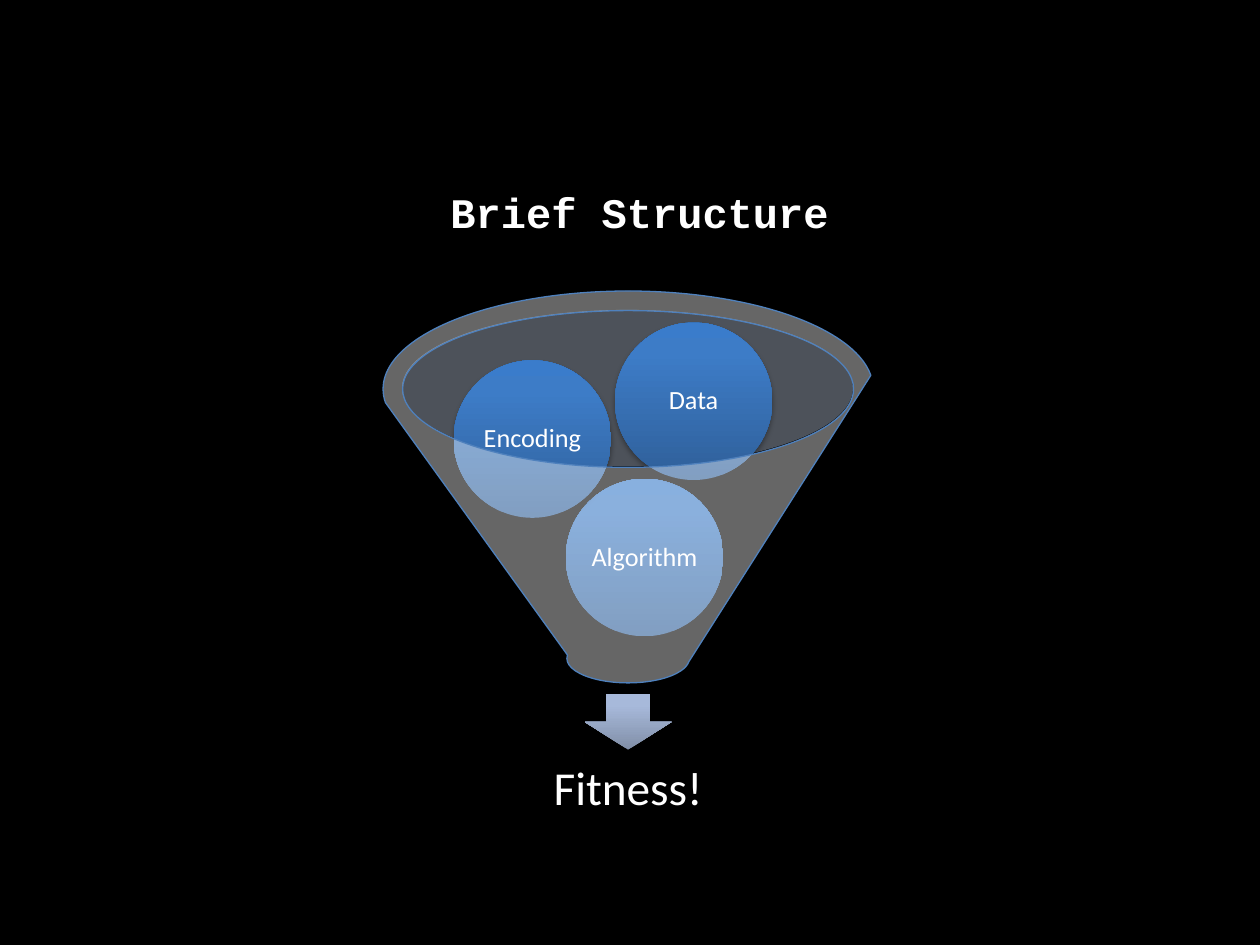
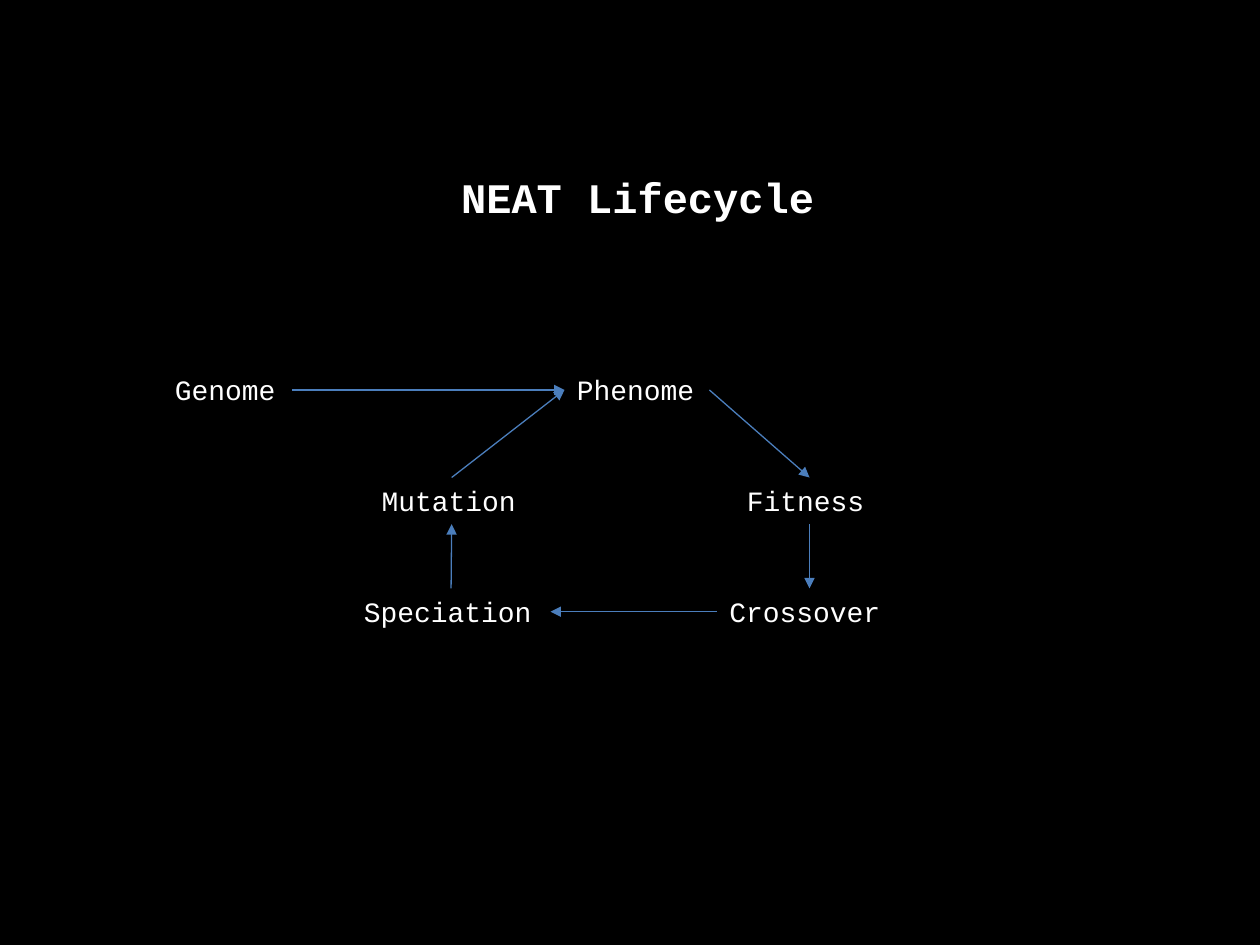
from lxml import etree
from pptx import Presentation
from pptx.dml.color import RGBColor
from pptx.enum.shapes import MSO_CONNECTOR, MSO_SHAPE
from pptx.enum.text import MSO_ANCHOR, MSO_AUTO_SIZE, PP_ALIGN
from pptx.oxml.ns import qn
from pptx.util import Inches, Pt

STRAIGHT = MSO_CONNECTOR.STRAIGHT
ELLIPSE, DOWN_ARROW, FUNNEL = MSO_SHAPE.OVAL, MSO_SHAPE.DOWN_ARROW, MSO_SHAPE.FUNNEL
TOP, MIDDLE = MSO_ANCHOR.TOP, MSO_ANCHOR.MIDDLE
LEFT, CENTER = PP_ALIGN.LEFT, PP_ALIGN.CENTER
NO_RESIZE = MSO_AUTO_SIZE.NONE
TOP_SITE, LEFT_SITE, BOTTOM_SITE, RIGHT_SITE = range(4)

BLACK = RGBColor(0x00, 0x00, 0x00)
WHITE = RGBColor(0xFF, 0xFF, 0xFF)
RIM = RGBColor(0xC2, 0xCD, 0xE1)
OUTLINE = RGBColor(0x4F, 0x81, 0xBD)
FLOW = RGBColor(0x4B, 0x7E, 0xBC)
BALL_GRADIENT = (
    (0, RGBColor(0x2F, 0x5F, 0x99)),
    (80, RGBColor(0x3D, 0x7C, 0xC7)),
    (100, RGBColor(0x3A, 0x7C, 0xCB)),
)
ARROW_GRADIENT = (
    (0, RGBColor(0x81, 0x8F, 0xA8)),
    (80, RGBColor(0xA7, 0xB9, 0xDA)),
    (100, RGBColor(0xA7, 0xBA, 0xDC)),
)
MONO, SANS = "Courier New", "Calibri"

BALL_SIZE = 1.25
INGREDIENTS = (("Algorithm", 1.45, 1.49), ("Encoding", 0.56, 0.55), ("Data", 1.84, 0.25))

ROW_PITCH, STEP_HEIGHT = 0.88, 0.37
STEPS = (
    ("Genome", 0, 0, 1.03),
    ("Phenome", 3.19, 0, 1.15),
    ("Fitness", 4.54, 1, 1.19),
    ("Crossover", 4.4, 2, 1.47),
    ("Speciation", 1.5, 2, 1.58),
    ("Mutation", 1.64, 1, 1.31),
)
TRANSITIONS = (
    ("Genome", RIGHT_SITE, "Phenome", LEFT_SITE),
    ("Phenome", RIGHT_SITE, "Fitness", TOP_SITE),
    ("Fitness", BOTTOM_SITE, "Crossover", TOP_SITE),
    ("Crossover", LEFT_SITE, "Speciation", RIGHT_SITE),
    ("Speciation", TOP_SITE, "Mutation", BOTTOM_SITE),
    ("Mutation", TOP_SITE, "Phenome", LEFT_SITE),
)


def add_xml(parent, tag, **attributes):
    """Append a DrawingML child and return it."""
    values = {name: str(value) for name, value in attributes.items()}
    return etree.SubElement(parent, qn(f"a:{tag}"), values)


def write_text(shape, text, size, font=MONO, bold=False, align=LEFT, anchor=TOP,
               inset=None, wrap=True, spacing=1.0):
    """Write one formatted white paragraph into a shape."""
    frame = shape.text_frame
    frame.auto_size = NO_RESIZE
    frame.word_wrap = wrap
    frame.vertical_anchor = anchor
    if inset is not None:
        frame.margin_left = frame.margin_right = Inches(inset)
        frame.margin_top = frame.margin_bottom = Inches(inset)
    paragraph = frame.paragraphs[0]
    paragraph.alignment = align
    paragraph.line_spacing = spacing
    run = paragraph.add_run()
    run.text = text
    run.font.name = font
    run.font.size = Pt(size)
    run.font.bold = bold
    run.font.color.rgb = WHITE


def place(box):
    """Convert a box in inches to lengths."""
    return [Inches(value) for value in box]


def add_textbox(slide, box, text, size, **text_format):
    """Add a text box with one formatted paragraph."""
    textbox = slide.shapes.add_textbox(*place(box))
    write_text(textbox, text, size, **text_format)
    return textbox


def add_glass(slide, preset, box, color):
    """Add a flat shape at 40 % opacity without an outline."""
    glass = slide.shapes.add_shape(preset, *place(box))
    glass.shadow.inherit = False
    glass.fill.solid()
    glass.fill.fore_color.rgb = color
    color_element = glass._element.spPr.find(qn("a:solidFill"))[0]
    add_xml(color_element, "alpha", val=40000)
    glass.line.fill.background()
    return glass


def add_glossy(slide, preset, box, gradient):
    """Add a shape with an upward gradient and a soft shadow."""
    glossy = slide.shapes.add_shape(preset, *place(box))
    glossy.line.fill.background()
    glossy.shadow.inherit = False
    properties = glossy._element.spPr
    gradient_fill = add_xml(properties, "gradFill", rotWithShape=1)
    stops = add_xml(gradient_fill, "gsLst")
    for position, color in gradient:
        add_xml(add_xml(stops, "gs", pos=position * 1000), "srgbClr", val=color)
    add_xml(gradient_fill, "lin", ang=270 * 60000, scaled=0)
    properties.find(qn("a:prstGeom")).addnext(gradient_fill)
    shadow = add_xml(properties.find(qn("a:effectLst")), "outerShdw", blurRad=Pt(3.1),
                     dist=Pt(1.8), dir=90 * 60000, rotWithShape=0)
    add_xml(add_xml(shadow, "srgbClr", val=BLACK), "alpha", val=35000)
    return glossy


def add_transition(slide, source, source_site, target, target_site):
    """Connect two steps with an arrow."""
    arrow = slide.shapes.add_connector(STRAIGHT, 0, 0, 0, 0)
    arrow.begin_connect(source, source_site)
    arrow.end_connect(target, target_site)
    arrow.line.color.rgb = FLOW
    arrow.line.width = Pt(0.75)
    add_xml(arrow.line._get_or_add_ln(), "tailEnd", type="triangle")
    add_xml(arrow._element.spPr, "effectLst")


def add_titled_slide(deck, title, box):
    """Add a black slide with its title in the given box."""
    slide = deck.slides.add_slide(deck.slide_layouts[5])
    slide.background.fill.solid()
    slide.background.fill.fore_color.rgb = BLACK
    heading = slide.shapes.title
    heading.left, heading.top, heading.width, heading.height = place(box)
    write_text(heading, title, 24, bold=True, align=CENTER)
    return slide


def add_funnel(slide, left, top):
    """Draw the funnel, its ingredients and its outcome."""
    add_glass(slide, ELLIPSE, (left + 0.15, top + 0.15, 3.58, 1.24), RIM)
    add_glossy(slide, DOWN_ARROW, (left + 1.6, top + 3.2, 0.69, 0.44), ARROW_GRADIENT)
    add_textbox(slide, (left + 0.28, top + 3.55, 3.33, 0.83), "Fitness!", 27, font=SANS,
                align=CENTER, anchor=MIDDLE, inset=0.21, spacing=0.9)
    for ingredient, across, down in INGREDIENTS:
        ball = add_glossy(slide, ELLIPSE, (left + across, top + down, BALL_SIZE, BALL_SIZE),
                          BALL_GRADIENT)
        write_text(ball, ingredient, 15, font=SANS, align=CENTER, anchor=MIDDLE,
                   inset=0.02, wrap=False, spacing=0.9)
    funnel = add_glass(slide, FUNNEL, (left, top, 3.89, 3.11), WHITE)
    funnel.line.color.rgb = OUTLINE
    funnel.line.width = Pt(0.75)


def add_lifecycle(slide, left, top):
    """Lay out the steps on three rows and connect them."""
    steps = {}
    for name, across, row, width in STEPS:
        box = (left + across, top + row * ROW_PITCH, width, STEP_HEIGHT)
        steps[name] = add_textbox(slide, box, name, 16)
    for source, source_site, target, target_site in TRANSITIONS:
        add_transition(slide, steps[source], source_site, steps[target], target_site)


def main():
    """Build and save both slides."""
    deck = Presentation()
    deck.slide_width, deck.slide_height = Inches(10), Inches(7.5)
    structure = add_titled_slide(deck, "Brief Structure", (3.43, 1.43, 3.29, 0.5))
    add_funnel(structure, 3.04, 2.31)
    lifecycle = add_titled_slide(deck, "NEAT Lifecycle", (2.83, 1.31, 4.46, 0.5))
    add_lifecycle(lifecycle, 1.29, 2.91)
    deck.save("out.pptx")


main()
